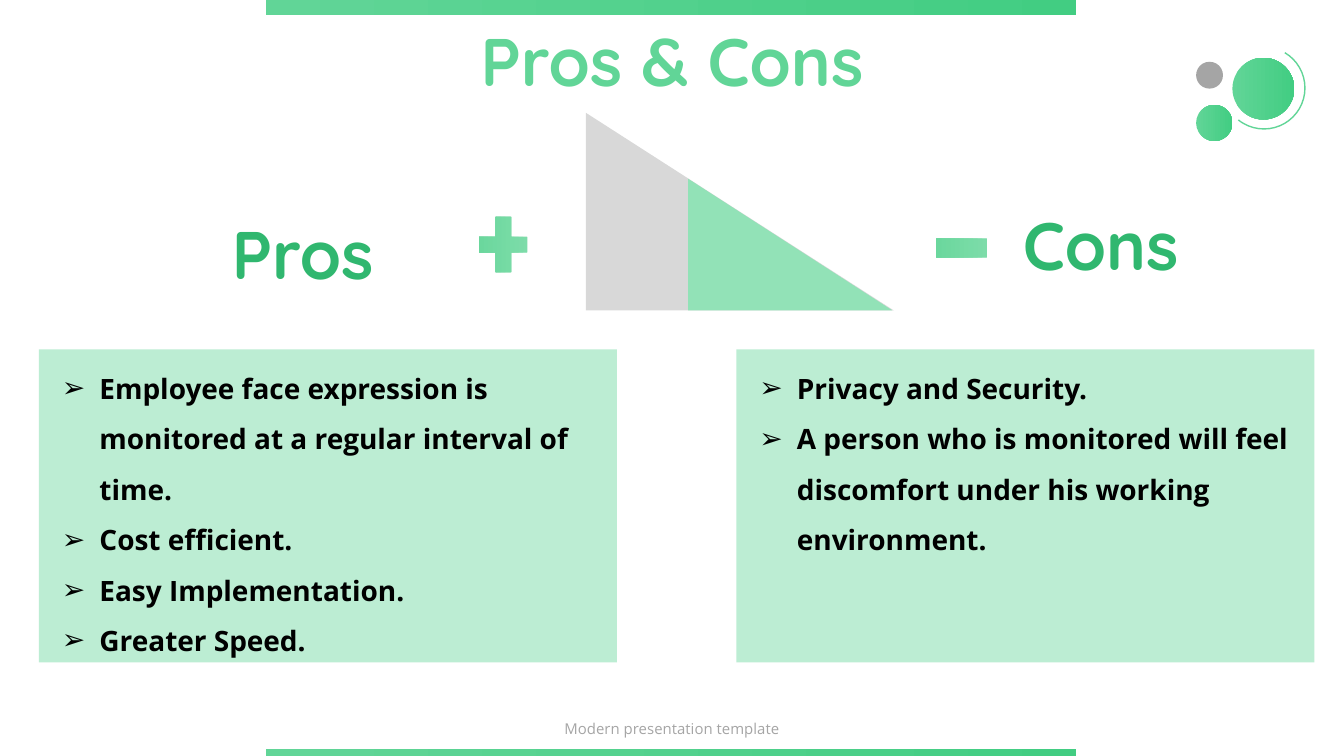
from lxml import etree
from pptx import Presentation
from pptx.dml.color import RGBColor
from pptx.enum import shapes, text
from pptx.oxml.ns import qn
from pptx.util import Inches, Pt

# Content
TITLE = "Pros & Cons"
FOOTER = "Modern presentation template"
HEADINGS = [  # text, left, top, alignment
    ("Pros", 1.17, 1.54, text.PP_ALIGN.RIGHT),
    ("Cons", 7.54, 1.47, text.PP_ALIGN.LEFT),
]
PANELS = [  # left, points
    (0.29, ["Employee face expression is monitored at a regular interval of time.",
            "Cost efficient.", "Easy Implementation.", "Greater Speed."]),
    (5.48, ["Privacy and Security.",
            "A person who is monitored will feel discomfort under his working environment."]),
]
COLORS = {"light": "61D597", "deep": "42CD82", "heading": "30B76F", "panel": "BCEDD3",
          "gray": "A5A5A5", "pale_gray": "D8D8D8", "mint": "92E2B7", "ink": "000000"}
GRADIENT = ("light", "deep")
KIND = shapes.MSO_SHAPE

prs = Presentation()
prs.slide_width = Inches(10)
prs.slide_height = prs.slide_width * 9 // 16
slide = prs.slides.add_slide(prs.slide_layouts[5])


def rgb(name):
    return RGBColor.from_string(COLORS[name])


def add_shape(kind, box, fill, alpha=None):
    """Add a borderless shape; fill is a colour name or a pair for a gradient."""
    shape = slide.shapes.add_shape(kind, *map(Inches, box))
    shape.shadow.inherit = False
    shape.line.fill.background()
    if fill is None:
        shape.fill.background()
    elif isinstance(fill, str):
        shape.fill.solid()
        shape.fill.fore_color.rgb = rgb(fill)
    else:
        shape.fill.gradient()
        shape.fill.gradient_angle = 0
        for stop, position, name in zip(shape.fill.gradient_stops, (0, 1), fill):
            stop.position = position
            stop.color.rgb = rgb(name)
        if alpha:
            for color in shape._element.spPr.iter(qn("a:srgbClr")):
                etree.SubElement(color, qn("a:alpha"), val=str(alpha * 1000))
    return shape


def write(shape, lines, size, font, color, bold=False, align=text.PP_ALIGN.LEFT,
          anchor=text.MSO_ANCHOR.TOP, spacing=None, bullet=None):
    frame = shape.text_frame
    frame.word_wrap = True
    frame.auto_size = text.MSO_AUTO_SIZE.NONE
    frame.vertical_anchor = anchor
    frame.margin_left = frame.margin_right = Inches(0.07)
    frame.margin_top = frame.margin_bottom = Inches(0.04)
    frame.text = "\n".join(lines)
    for p in frame.paragraphs:
        p.alignment = align
        if spacing:
            p.line_spacing = spacing
        if bullet:
            props = p._p.get_or_add_pPr()
            props.set("marL", str(Inches(0.38)))
            props.set("indent", str(-Inches(0.28)))
            bullet_color = etree.SubElement(props, qn("a:buClr"))
            etree.SubElement(bullet_color, qn("a:srgbClr"), val=COLORS[color])
            etree.SubElement(props, qn("a:buFont"), typeface="Arial")
            etree.SubElement(props, qn("a:buChar"), char=bullet)
        for run in p.runs:
            run.font.size, run.font.name, run.font.bold = Pt(size), font, bold
            run.font.color.rgb = rgb(color)


def add_text(box, line, **style):
    write(slide.shapes.add_textbox(*map(Inches, box)), [line], **style)


# Bars at the top and bottom edges
for top, height in ((0, 0.11), (5.57, 0.06)):
    add_shape(KIND.RECTANGLE, (1.98, top, 6.03, height), GRADIENT)

# Corner circles with an arc
for left, top, size, fill in ((9.17, 0.43, 0.46, GRADIENT), (8.9, 0.78, 0.27, GRADIENT),
                              (8.9, 0.46, 0.2, "gray")):
    add_shape(KIND.OVAL, (left, top, size, size), fill)
arc = add_shape(KIND.ARC, (9.1, 0.35, 0.61, 0.61), None)
arc.adjustments[0], arc.adjustments[1] = 180.37, 77.2
arc.line.color.rgb = rgb("light")
arc.line.width = Pt(0.75)

# Footer and title
add_text((3.24, 5.32, 3.52, 0.2), FOOTER, size=8, font="Open Sans", color="gray",
         align=text.PP_ALIGN.CENTER, anchor=text.MSO_ANCHOR.MIDDLE)
title = slide.shapes.title
title.left, title.top, title.width, title.height = map(Inches, (2.85, 0.1, 4.3, 0.68))
write(title, [TITLE], size=36, font="Quicksand", color="light", bold=True,
      align=text.PP_ALIGN.CENTER)

# Plus and minus signs
for kind, box in ((KIND.MATH_PLUS, (3.5, 1.54, 0.49, 0.56)),
                  (KIND.MATH_MINUS, (6.9, 1.55, 0.51, 0.59))):
    sign = add_shape(kind, box, GRADIENT, alpha=80)
    sign.adjustments[0] = 0.235
    sign._element.spPr.get_or_add_xfrm().set("flipH", "1")

# Two-tone triangle
add_shape(KIND.RIGHT_TRIANGLE, (4.36, 0.84, 2.29, 1.47), "pale_gray")
add_shape(KIND.RIGHT_TRIANGLE, (5.12, 1.33, 1.52, 0.98), "mint")

# Headings and their panels
for heading, left, top, align in HEADINGS:
    add_text((left, top, 1.68, 0.62), heading, size=36, font="Quicksand",
             color="heading", bold=True, align=align)
for left, points in PANELS:
    panel = add_shape(KIND.RECTANGLE, (left, 2.6, 4.3, 2.33), "panel")
    write(panel, points, size=15, font="Open Sans", color="ink", bold=True,
          spacing=1.5, bullet="➢")

prs.save("out.pptx")
